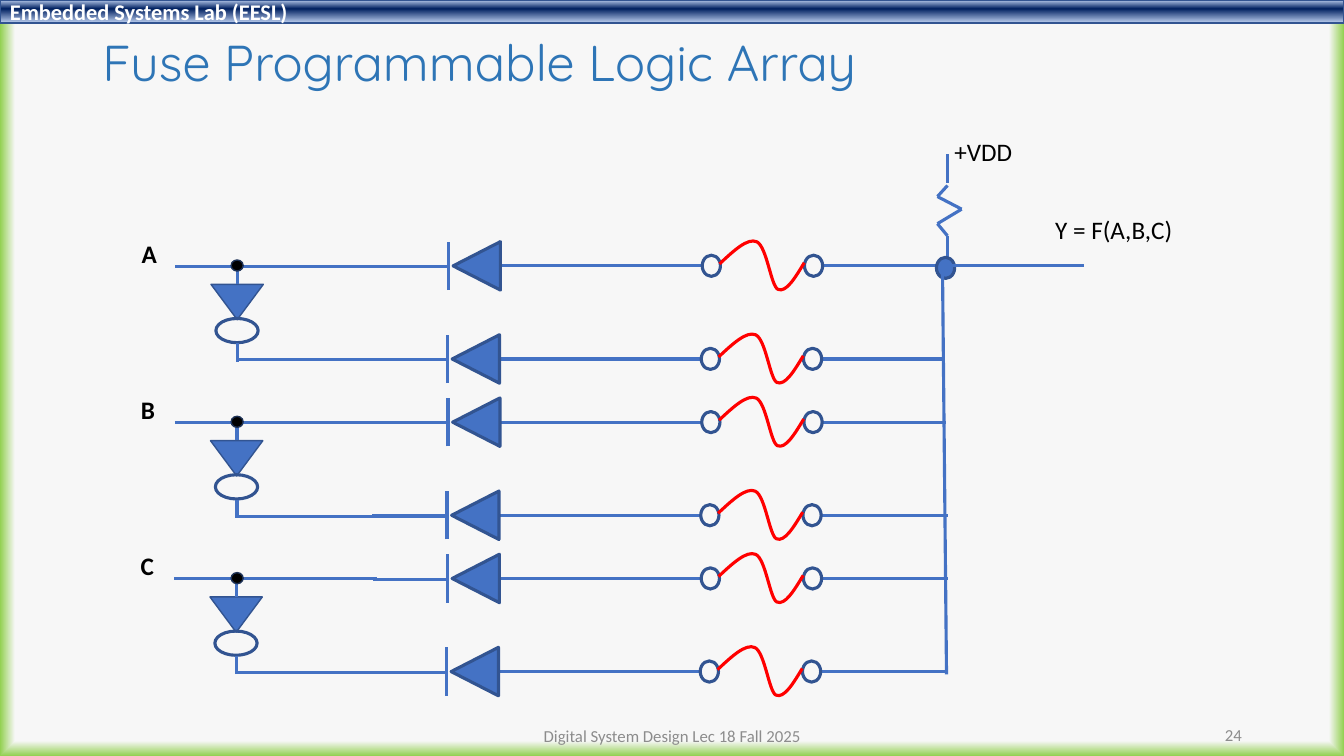
from dataclasses import dataclass
from typing import Optional

from lxml.etree import SubElement
from pptx import Presentation
from pptx.dml.color import RGBColor
from pptx.enum.shapes import MSO_CONNECTOR, MSO_SHAPE
from pptx.enum.text import MSO_ANCHOR, MSO_AUTO_SIZE, PP_ALIGN
from pptx.oxml.ns import qn
from pptx.util import Pt

COLORS = {
    "title": "2E75B6", "wire": "4472C4", "outline": "325491", "fuse": "FF0000",
    "black": "000000", "dot_line": "1E3256", "white": "FFFFFF", "footer": "8C8C8C",
    "page": "F7F7F7", "edge": "92D050",
    "bar_top": "ABC0E4", "bar_middle": "002060", "bar_bottom": "AABEE2",
}
FIRST_ROW = 189.9
INPUT_PITCH = 111.65
INVERTED_DROP = 66.5
FUSE_START = (514, -1.4)
FUSE_CURVES = [
    ((524.1, -10.8), (534.1, -20.2), (540.6, -17.2)),
    ((547.8, -13.7), (550.7, 14.4), (555.7, 16.8)),
    ((561.5, 19.4), (568, 8.6), (574.5, -2.2)),
]


@dataclass
class Stop:
    position: int
    color: str


@dataclass
class Label:
    text: str
    left: float
    top: float
    width: float
    size: float = 18
    color: str = "black"
    bold: bool = False
    align: PP_ALIGN = PP_ALIGN.LEFT
    anchor: MSO_ANCHOR = MSO_ANCHOR.TOP
    wrap: bool = False


@dataclass
class Input:
    name: str
    direct_end: float
    inverted_end: float


INPUTS = [Input("A", 678.2, 674.6), Input("B", 675.4, 676.8), Input("C", 676.8, 676.1)]
LABELS = [
    Label("+VDD", 674.6, 93.6, 56.2),
    Label("Y = F(A,B,C)", 746.6, 149.8, 99.4),
    Label("24", 678.2, 510.5, 216, 12, "footer", align=PP_ALIGN.RIGHT,
          anchor=MSO_ANCHOR.MIDDLE, wrap=True),
    Label("Digital System Design Lec 18 Fall 2025", 318.2, 511.2, 324, 12, "footer",
          align=PP_ALIGN.CENTER, anchor=MSO_ANCHOR.MIDDLE, wrap=True),
]


def rgb(name: str) -> RGBColor:
    return RGBColor.from_string(COLORS[name])


def set_gradient(owner, fill, stops: list[Stop], angle: Optional[int] = None) -> None:
    """Fill with the stops, linear at the angle or following the outline without one."""
    fill.gradient()
    gradient = owner.element.find(".//" + qn("a:gradFill"))
    for child in list(gradient):
        gradient.remove(child)
    stop_list = SubElement(gradient, qn("a:gsLst"))
    for stop in stops:
        entry = SubElement(stop_list, qn("a:gs"), pos=str(stop.position * 1000))
        SubElement(entry, qn("a:srgbClr"), val=COLORS[stop.color])
    if angle is None:
        route = SubElement(gradient, qn("a:path"), path="shape")
        SubElement(route, qn("a:fillToRect"), l="50000", t="50000", r="50000", b="50000")
    else:
        SubElement(gradient, qn("a:lin"), ang=str(angle * 60000), scaled="0")


def add_text(paragraph, text: str, font_name: str, size: float, color: str,
             bold: bool = False) -> None:
    run = paragraph.add_run()
    run.text = text
    run.font.name = font_name
    run.font.size = Pt(size)
    run.font.bold = bold
    run.font.color.rgb = rgb(color)


def add_label(slide, label: Label) -> None:
    box = slide.shapes.add_textbox(Pt(label.left), Pt(label.top), Pt(label.width), Pt(28.8))
    frame = box.text_frame
    frame.word_wrap = label.wrap
    frame.vertical_anchor = label.anchor
    paragraph = frame.paragraphs[0]
    paragraph.alignment = label.align
    add_text(paragraph, label.text, "Calibri", label.size, label.color, label.bold)


def add_wire(slide, x1: float, y1: float, x2: float, y2: float) -> None:
    wire = slide.shapes.add_connector(MSO_CONNECTOR.STRAIGHT, Pt(x1), Pt(y1), Pt(x2), Pt(y2))
    wire.line.color.rgb = rgb("wire")
    wire.line.width = Pt(2.25)
    SubElement(wire.element.spPr, qn("a:effectLst"))


def add_part(slide, kind: MSO_SHAPE, left: float, top: float, width: float, height: float,
             fill: Optional[str] = None, line: str = "outline", weight: float = 2.25,
             rotation: float = 0):
    shape = slide.shapes.add_shape(kind, Pt(left), Pt(top), Pt(width), Pt(height))
    shape.shadow.inherit = False
    shape.rotation = rotation
    if fill:
        shape.fill.solid()
        shape.fill.fore_color.rgb = rgb(fill)
    else:
        shape.fill.background()
    shape.line.color.rgb = rgb(line)
    shape.line.width = Pt(weight)
    return shape


def add_fuse(slide, dx: float, y: float) -> None:
    """Draw the fuse link, its straight segments turned into cubic curves."""
    builder = slide.shapes.build_freeform(Pt(FUSE_START[0] + dx), Pt(y + FUSE_START[1]))
    builder.add_line_segments([(Pt(curve[-1][0] + dx), Pt(y + curve[-1][1]))
                               for curve in FUSE_CURVES], close=False)
    fuse = builder.convert_to_shape()
    for segment, curve in zip(list(fuse.element.iter(qn("a:lnTo"))), FUSE_CURVES):
        outline = segment.getparent()
        outline.remove(segment)
        bend = SubElement(outline, qn("a:cubicBezTo"))
        for x, offset in curve:
            SubElement(bend, qn("a:pt"), x=str(Pt(x + dx) - fuse.left),
                       y=str(Pt(y + offset) - fuse.top))
    fuse.shadow.inherit = False
    fuse.fill.background()
    fuse.line.color.rgb = rgb("fuse")
    fuse.line.width = Pt(2.25)


def add_branch(slide, dx: float, y: float, end: float) -> None:
    """Draw a diode and a fuse in series, up to the output column."""
    add_wire(slide, 410 + dx, y, 357.8 + dx, y)
    add_part(slide, MSO_SHAPE.ISOSCELES_TRIANGLE, 323.3 + dx, y - 16.9, 34.6, 33.8,
             "wire", rotation=270)
    add_wire(slide, 320.4 + dx, y + 17.3, 320.4 + dx, y - 17.3)
    add_wire(slide, 320.4 + dx, y + 0.5, 267 + dx, y + 0.5)
    add_wire(slide, 409.7 + dx, y, 501.7 + dx, y)
    add_wire(slide, 587.5 + dx, y, end, y)
    for left in (501.6, 574.6):
        add_part(slide, MSO_SHAPE.OVAL, left + dx, y - 7.6, 13, 15.1)
    add_fuse(slide, dx, y)


def add_inverter(slide, dx: float, y: float) -> None:
    add_part(slide, MSO_SHAPE.ISOSCELES_TRIANGLE, 150.7 + dx, y + 13.2, 37.4, 25.2,
             "wire", weight=1, rotation=180)
    add_part(slide, MSO_SHAPE.OVAL, 154.2 + dx, y + 37.6, 30.2, 17.3)
    for top in (0, 55.4):
        add_wire(slide, 169.7 + dx, y + top + 13, 169.7 + dx, y + top)


def add_input(slide, index: int, item: Input) -> None:
    dx, y = -0.36 * index, FIRST_ROW + INPUT_PITCH * index
    add_wire(slide, 125.3 + dx, y + 0.3, 269.6, y + 0.3)
    add_label(slide, Label(item.name, 94 + dx, y - 23.5, 25.2, bold=True))
    add_inverter(slide, dx, y)
    add_branch(slide, dx, y, item.direct_end)
    add_branch(slide, dx - 0.7, y + INVERTED_DROP, item.inverted_end)
    add_wire(slide, 267 + dx, y + 67.2, 169.2 + dx, y + 67.2)


def add_output(slide) -> None:
    resistor = [(676.8, 132.5), (669.6, 140.4), (686.9, 149.4), (669.6, 159.8),
                (676.8, 168.5), (676.8, FIRST_ROW)]
    add_wire(slide, 676.8, 110.2, 676.8, 131)
    for start, end in zip(resistor, resistor[1:]):
        add_wire(slide, *start, *end)
    add_part(slide, MSO_SHAPE.OVAL, 668.9, 183.8, 13, 15.1, "wire")
    add_wire(slide, 673.2, FIRST_ROW, 676.1, 481.7)
    add_wire(slide, 676.1, FIRST_ROW, 774.5, FIRST_ROW)


def add_header(slide) -> None:
    bar = add_part(slide, MSO_SHAPE.RECTANGLE, 0, 0, 960, 16.6, "bar_middle", weight=1)
    set_gradient(bar, bar.fill, [Stop(2, "bar_top"), Stop(38, "bar_middle"),
                                 Stop(93, "bar_bottom")], 90)
    bar.text_frame.vertical_anchor = MSO_ANCHOR.MIDDLE
    paragraph = bar.text_frame.paragraphs[0]
    paragraph.alignment = PP_ALIGN.LEFT
    add_text(paragraph, "Embedded Systems Lab (EESL)", "Calibri", 16, "white", True)


def set_title(slide) -> None:
    title = slide.shapes.title
    title.left, title.top, title.width, title.height = Pt(66), Pt(10.8), Pt(828), Pt(71.3)
    frame = title.text_frame
    frame.auto_size = MSO_AUTO_SIZE.NONE
    frame.vertical_anchor = MSO_ANCHOR.MIDDLE
    paragraph = frame.paragraphs[0]
    paragraph.alignment = PP_ALIGN.LEFT
    paragraph.line_spacing = 0.9
    add_text(paragraph, "Fuse Programmable Logic Array", "Quicksand", 36, "title")


def main() -> None:
    presentation = Presentation()
    presentation.slide_width, presentation.slide_height = Pt(960), Pt(540)
    slide = presentation.slides.add_slide(presentation.slide_layouts[5])
    set_gradient(slide, slide.background.fill, [Stop(96, "page"), Stop(100, "edge")])
    add_header(slide)
    set_title(slide)
    for index, item in enumerate(INPUTS):
        add_input(slide, index, item)
    add_output(slide)
    for label in LABELS:
        add_label(slide, label)
    for index in range(len(INPUTS)):
        add_part(slide, MSO_SHAPE.OVAL, 165.1, FIRST_ROW - 4.2 + INPUT_PITCH * index,
                 8.6, 7.9, "black", "dot_line", 1)
    presentation.save("out.pptx")


if __name__ == "__main__":
    main()
